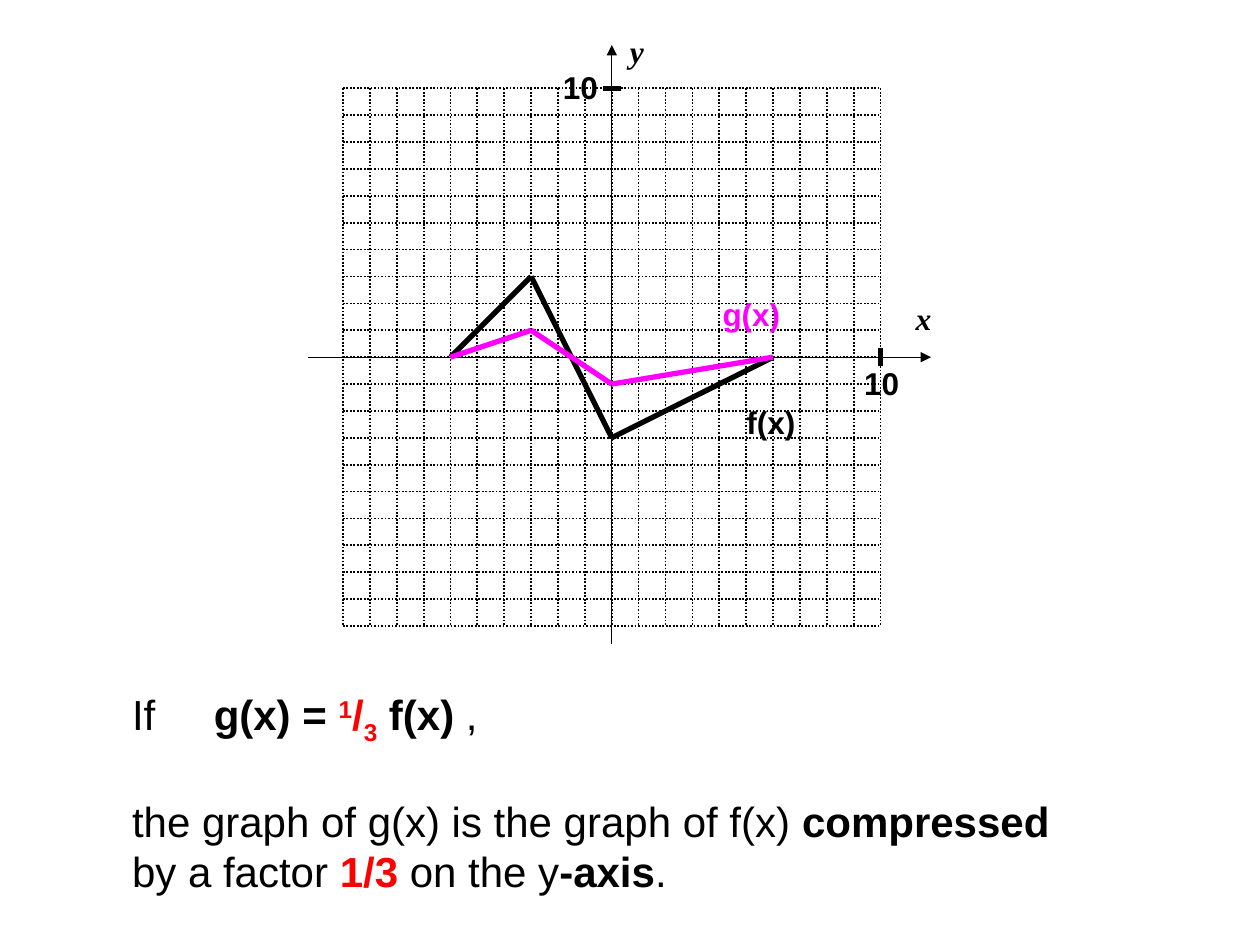
"""Build a slide showing a piecewise graph and its vertical compression."""
from dataclasses import dataclass
from itertools import pairwise

from lxml.etree import SubElement
from pptx import Presentation
from pptx.dml.color import RGBColor
from pptx.enum.dml import MSO_LINE
from pptx.enum.shapes import MSO_CONNECTOR
from pptx.enum.text import MSO_AUTO_SIZE as AutoSize
from pptx.oxml.ns import qn
from pptx.util import Pt

BLACK = RGBColor(0, 0, 0)
RED = RGBColor(255, 0, 0)
MAGENTA = RGBColor(255, 0, 255)

UNIT = 15.36
HALF = 10
ORIGIN_X, ORIGIN_Y = 349.6, 204.1
TICK = 5

Point = tuple[float, float]


@dataclass(frozen=True)
class Stroke:
    color: RGBColor
    width: float
    dotted: bool = False
    arrow: bool = False


@dataclass(frozen=True)
class Words:
    text: str
    bold: bool = False
    color: RGBColor = BLACK
    size: float = 24
    font: str = "Arial"
    italic: bool = False
    baseline: int = 0


@dataclass(frozen=True)
class Line:
    words: list[Words]
    space_before: float = 0
    tab: float = 0


@dataclass(frozen=True)
class Label:
    left: float
    top: float
    width: float
    height: float
    lines: list[Line]


GRID = Stroke(BLACK, 1, dotted=True)
AXIS = Stroke(BLACK, 0.75, arrow=True)
TICK_MARK = Stroke(BLACK, 3)
F_CURVE = Stroke(BLACK, 3)
G_CURVE = Stroke(MAGENTA, 3)

F_POINTS = [(-6, 0), (-3, 3), (0, -3), (6, 0)]
G_POINTS = [(x, y / 3) for x, y in F_POINTS]


def at(point: Point) -> Point:
    """Turn graph coordinates into slide points."""
    return ORIGIN_X + point[0] * UNIT, ORIGIN_Y - point[1] * UNIT


def draw_line(shapes, start: Point, end: Point, stroke: Stroke) -> None:
    """Draw one straight line between two slide positions."""
    segment = shapes.add_connector(
        MSO_CONNECTOR.STRAIGHT, *(Pt(v) for v in (*start, *end))
    )
    segment.line.color.rgb = stroke.color
    segment.line.width = Pt(stroke.width)
    if stroke.dotted:
        segment.line.dash_style = MSO_LINE.ROUND_DOT
    properties = segment._element.spPr
    if stroke.arrow:
        SubElement(properties.find(qn("a:ln")), qn("a:headEnd"), type="triangle")
    SubElement(properties, qn("a:effectLst"))


def draw_curve(shapes, points: list[Point], stroke: Stroke) -> None:
    """Draw the segments joining successive graph points."""
    for start, end in pairwise(points):
        draw_line(shapes, at(start), at(end), stroke)


def draw_grid(shapes) -> None:
    """Draw the dotted unit grid."""
    for step in range(-HALF, HALF + 1):
        draw_line(shapes, at((step, HALF)), at((step, -HALF)), GRID)
    for step in range(-HALF, HALF + 1):
        draw_line(shapes, at((-HALF, step)), at((HALF, step)), GRID)


def write_label(shapes, label: Label) -> None:
    """Write a text box run by run."""
    box = shapes.add_textbox(
        Pt(label.left), Pt(label.top), Pt(label.width), Pt(label.height)
    )
    frame = box.text_frame
    frame.word_wrap = False
    frame.auto_size = AutoSize.SHAPE_TO_FIT_TEXT
    for index, line in enumerate(label.lines):
        paragraph = frame.add_paragraph() if index else frame.paragraphs[0]
        paragraph.space_before = Pt(line.space_before)
        if line.tab:
            tabs = SubElement(paragraph._p.get_or_add_pPr(), qn("a:tabLst"))
            SubElement(tabs, qn("a:tab"), pos=str(Pt(line.tab)), algn="l")
        for words in line.words:
            run = paragraph.add_run()
            run.text = words.text
            run.font.name = words.font
            run.font.size = Pt(words.size)
            run.font.bold = words.bold
            run.font.italic = words.italic
            run.font.color.rgb = words.color
            if words.baseline:
                run._r.get_or_add_rPr().set("baseline", str(words.baseline * 1000))


def axis_name(text: str, left: float, top: float) -> Label:
    """Describe an italic axis name."""
    name = Words(text, True, size=18, font="Times New Roman", italic=True)
    return Label(left, top, 22.7, 29, [Line([name])])


def graph_label(
    text: str, left: float, top: float, width: float, color: RGBColor = BLACK
) -> Label:
    """Describe a bold label inside the graph."""
    return Label(left, top, width, 29, [Line([Words(text, True, color, 18)])])


STATEMENT = Label(68.4, 390.2, 545, 126.7, [
    Line([
        Words("If\t"),
        Words("g(x) = ", True),
        Words("1", True, RED, baseline=30),
        Words("/", True, RED),
        Words("3", True, RED, baseline=-25),
        Words(" f(x)", True),
        Words(" ,"),
    ], tab=46.7),
    Line([
        Words("the graph of g(x) is the graph of f(x) "),
        Words("compressed", True),
    ], space_before=28),
    Line([
        Words("by a factor "),
        Words("1/3", True, RED),
        Words(" on the y"),
        Words("-axis", True),
        Words("."),
    ]),
])


def main() -> None:
    """Assemble and save the slide."""
    deck = Presentation()
    deck.slide_width, deck.slide_height = Pt(720), Pt(540)
    shapes = deck.slides.add_slide(deck.slide_layouts[6]).shapes

    write_label(shapes, axis_name("y", 352.8, 14.6))
    draw_curve(shapes.add_group_shape().shapes, F_POINTS, F_CURVE)
    draw_grid(shapes.add_group_shape().shapes)
    draw_line(shapes, (ORIGIN_X, 25.7), (ORIGIN_X, 368), AXIS)
    draw_line(shapes, (532, ORIGIN_Y), (175.9, ORIGIN_Y), AXIS)
    write_label(shapes, axis_name("x", 516.2, 167.2))

    x_ten, _ = at((HALF, 0))
    _, y_ten = at((0, HALF))
    write_label(shapes, graph_label("10", 486.7, 204.7, 34.6))
    draw_line(shapes, (x_ten, ORIGIN_Y - TICK), (x_ten, ORIGIN_Y + TICK), TICK_MARK)
    write_label(shapes, graph_label("10", 314.6, 35.3, 34.6))
    draw_line(shapes, (ORIGIN_X - TICK, y_ten), (ORIGIN_X + TICK, y_ten), TICK_MARK)

    write_label(shapes, graph_label("f(x)", 419.4, 226.6, 42.5))
    draw_curve(shapes, G_POINTS, G_CURVE)
    write_label(shapes, STATEMENT)
    write_label(shapes, graph_label("g(x)", 405.8, 165, 47.5, MAGENTA))
    deck.save("out.pptx")


if __name__ == "__main__":
    main()
